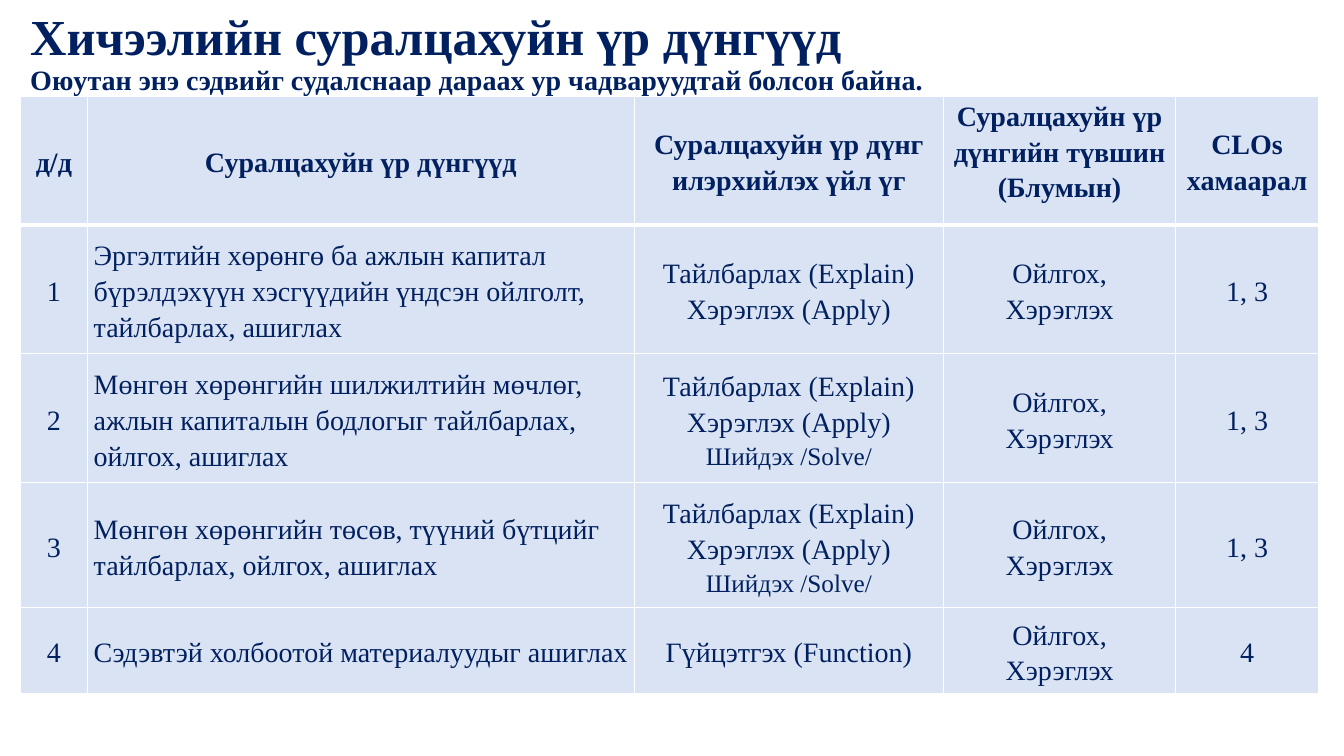
"""Build a slide with a table of learning outcomes for a lesson."""
from lxml import etree
from pptx import Presentation
from pptx import util as u
from pptx.dml.color import RGBColor
from pptx.enum import text
from pptx.oxml.ns import qn

NAVY = RGBColor(0x00, 0x20, 0x60)
PALE_BLUE = RGBColor(0xDA, 0xE3, 0xF3)
WHITE = RGBColor(0xFF, 0xFF, 0xFF)
FONT = "Times New Roman"
BODY_SIZE, SMALL_SIZE, TITLE_SIZE = 20, 18, 36

TITLE = "Хичээлийн суралцахуйн үр дүнгүүд"
SUBTITLE = "Оюутан энэ сэдвийг судалснаар дараах ур чадваруудтай болсон байна."
EXPLAIN, APPLY, SOLVE = "Тайлбарлах (Explain)", "Хэрэглэх (Apply)", "Шийдэх /Solve/"
LEVELS = ["Ойлгох,", "Хэрэглэх"]
HEADER = [
    ["д/д"],
    ["Суралцахуйн үр дүнгүүд"],
    ["Суралцахуйн үр дүнг илэрхийлэх үйл үг"],
    ["Суралцахуйн үр дүнгийн түвшин", "(Блумын)"],
    ["CLOs хамаарал"],
]
OUTCOMES = [
    ("Эргэлтийн хөрөнгө ба ажлын капитал бүрэлдэхүүн хэсгүүдийн үндсэн ойлголт, "
     "тайлбарлах, ашиглах", [EXPLAIN, APPLY], "1, 3"),
    ("Мөнгөн хөрөнгийн шилжилтийн мөчлөг, ажлын капиталын бодлогыг тайлбарлах, "
     "ойлгох, ашиглах", [EXPLAIN, APPLY, SOLVE], "1, 3"),
    ("Мөнгөн хөрөнгийн төсөв, түүний бүтцийг тайлбарлах, ойлгох, ашиглах",
     [EXPLAIN, APPLY, SOLVE], "1, 3"),
    ("Сэдэвтэй холбоотой материалуудыг ашиглах", ["Гүйцэтгэх (Function)"], "4"),
]
ROWS = [HEADER] + [
    [[str(number)], [outcome], verbs, LEVELS, [clos]]
    for number, (outcome, verbs, clos) in enumerate(OUTCOMES, 1)
]

SLIDE_WIDTH, SLIDE_HEIGHT = 13.33, 7.5
LEFT, TITLE_TOP, TITLE_HEIGHT = 0.2, 0.12, 0.84
COLUMN_WIDTHS = [0.67, 5.42, 3.07, 2.3, 1.42]
ROW_HEIGHTS = [1.27, 1.28, 1.28, 1.24, 0.85]
OUTCOME_COLUMN, LEVEL_COLUMN = 1, 3


def add_text(paragraph, content, size=BODY_SIZE, bold=False,
             align=text.PP_ALIGN.CENTER, spacing=1.15):
    """Add a formatted run to a paragraph."""
    paragraph.alignment = align
    paragraph.line_spacing = spacing
    run = paragraph.add_run()
    run.text = content
    run.font.name = FONT
    run.font.size = u.Pt(size)
    run.font.bold = bold
    run.font.color.rgb = NAVY


def add_border(cell, side, points):
    """Draw one white edge of a cell."""
    properties = cell._tc.get_or_add_tcPr()
    line = etree.SubElement(properties, qn(f"a:ln{side}"), w=str(u.Pt(points)))
    fill = etree.SubElement(line, qn("a:solidFill"))
    etree.SubElement(fill, qn("a:srgbClr"), val=str(WHITE))


def fill_cell(cell, lines, row, column):
    """Format one table cell and write its lines."""
    is_header = row == 0
    is_wide_inset = is_header or column == 0
    for side in "LRTB":
        heavy = (is_header and side == "B") or (row == 1 and side == "T")
        add_border(cell, side, 3 if heavy else 1)
    cell.fill.solid()
    cell.fill.fore_color.rgb = PALE_BLUE
    cell.margin_left = cell.margin_right = u.Inches(0.08 if is_wide_inset else 0.06)
    cell.margin_top = u.Inches(0 if is_wide_inset else 0.01)
    cell.margin_bottom = 0
    top_anchored = is_header and column == LEVEL_COLUMN
    cell.vertical_anchor = text.MSO_ANCHOR.TOP if top_anchored else text.MSO_ANCHOR.MIDDLE
    left_aligned = column == OUTCOME_COLUMN and not is_header
    frame = cell.text_frame
    for index, content in enumerate(lines):
        paragraph = frame.add_paragraph() if index else frame.paragraphs[0]
        add_text(paragraph, content, bold=is_header,
                 size=SMALL_SIZE if content == SOLVE else BODY_SIZE,
                 align=text.PP_ALIGN.LEFT if left_aligned else text.PP_ALIGN.CENTER)


def add_title(slide, width):
    """Place the title and its second line."""
    title = slide.shapes.title
    title.left, title.top = u.Inches(LEFT), u.Inches(TITLE_TOP)
    title.width, title.height = u.Inches(width), u.Inches(TITLE_HEIGHT)
    frame = title.text_frame
    frame.word_wrap = True
    frame.auto_size = text.MSO_AUTO_SIZE.NONE
    frame.vertical_anchor = text.MSO_ANCHOR.MIDDLE
    paragraph = frame.paragraphs[0]
    style = {"bold": True, "align": text.PP_ALIGN.LEFT, "spacing": 0.9}
    add_text(paragraph, TITLE, size=TITLE_SIZE, **style)
    paragraph.add_line_break()
    add_text(paragraph, SUBTITLE, **style)


def add_outcome_table(slide, width):
    """Place the table directly below the title."""
    table = slide.shapes.add_table(
        len(ROWS), len(COLUMN_WIDTHS), u.Inches(LEFT), u.Inches(TITLE_TOP + TITLE_HEIGHT),
        u.Inches(width), u.Inches(sum(ROW_HEIGHTS))).table
    table.horz_banding = False
    for column, column_width in zip(table.columns, COLUMN_WIDTHS):
        column.width = u.Inches(column_width)
    for row, row_height in zip(table.rows, ROW_HEIGHTS):
        row.height = u.Inches(row_height)
    for row, cells in enumerate(ROWS):
        for column, lines in enumerate(cells):
            fill_cell(table.cell(row, column), lines, row, column)


def main():
    """Create and save the presentation."""
    presentation = Presentation()
    presentation.slide_width = u.Inches(SLIDE_WIDTH)
    presentation.slide_height = u.Inches(SLIDE_HEIGHT)
    slide = presentation.slides.add_slide(presentation.slide_layouts[5])
    width = sum(COLUMN_WIDTHS)
    add_title(slide, width)
    add_outcome_table(slide, width)
    presentation.save("out.pptx")


if __name__ == "__main__":
    main()
